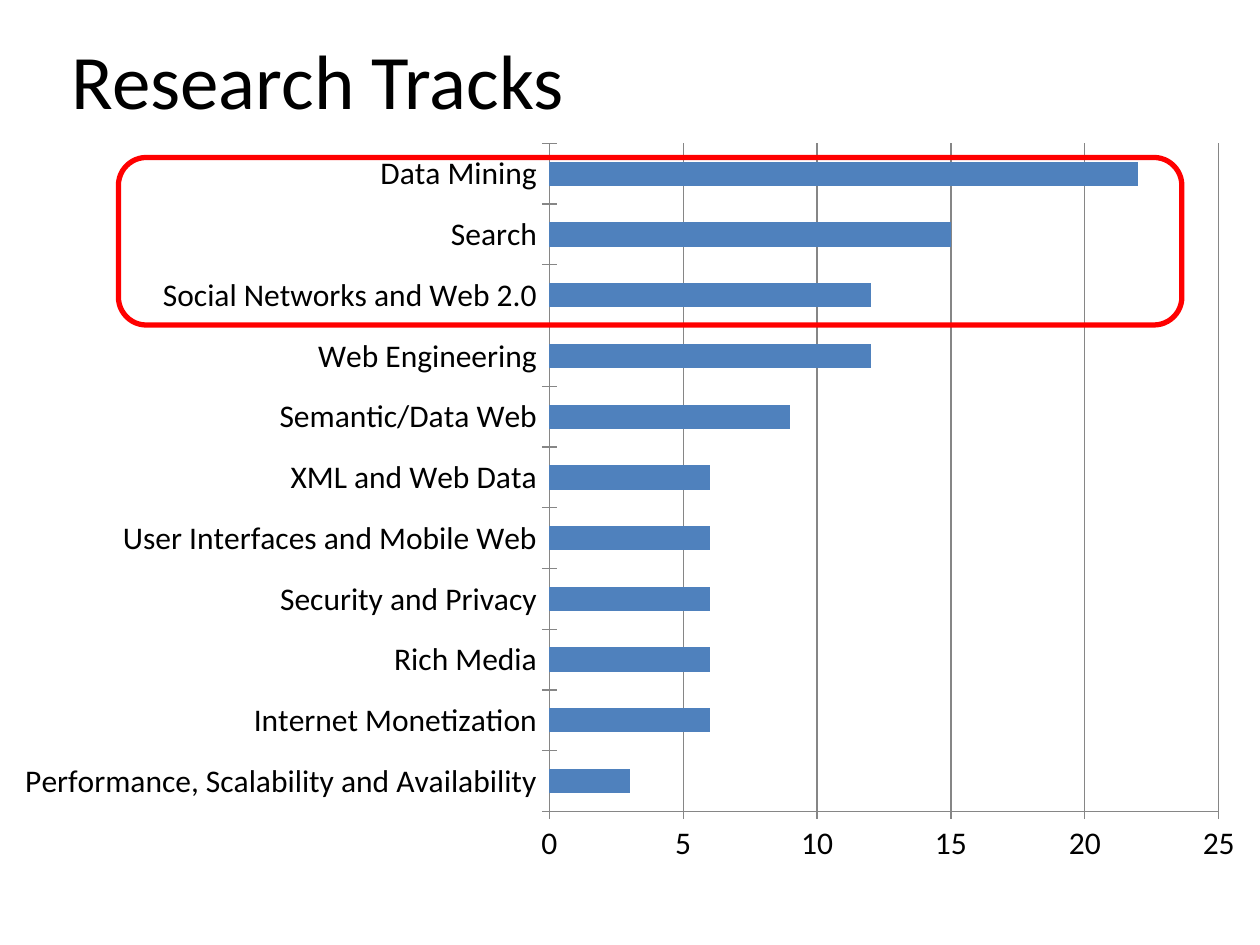
from pptx import Presentation
from pptx.chart.data import CategoryChartData
from pptx.dml.color import RGBColor
from pptx.enum.chart import XL_CHART_TYPE, XL_TICK_MARK
from pptx.enum.shapes import MSO_SHAPE
from pptx.enum.text import MSO_ANCHOR, PP_ALIGN
from pptx.util import Inches, Pt

BAR_CLUSTERED = XL_CHART_TYPE.BAR_CLUSTERED
CROSS = XL_TICK_MARK.CROSS
ROUNDED = MSO_SHAPE.ROUNDED_RECTANGLE
MIDDLE, LEFT = MSO_ANCHOR.MIDDLE, PP_ALIGN.LEFT

BLACK = RGBColor(0x00, 0x00, 0x00)
BLUE = RGBColor(0x4F, 0x81, 0xBD)
RED = RGBColor(0xFF, 0x00, 0x00)
GRAY = RGBColor(0x86, 0x86, 0x86)
FONT = "Calibri"

# Listed from the bottom bar to the top bar
TRACKS = {
    "Performance, Scalability and Availability": 3,
    "Internet Monetization": 6,
    "Rich Media": 6,
    "Security and Privacy": 6,
    "User Interfaces and Mobile Web": 6,
    "XML and Web Data": 6,
    "Semantic/Data Web": 9,
    "Web Engineering": 12,
    "Social Networks and Web 2.0": 12,
    "Search": 15,
    "Data Mining": 22,
}


def set_values(target, values):
    for name, value in values.items():
        setattr(target, name, value)


def set_font(font, size):
    set_values(font, {"name": FONT, "size": Pt(size), "bold": False})
    font.color.rgb = BLACK


def set_line(line, color, width):
    line.color.rgb = color
    line.width = Pt(width)


def place_title(page, text, left, top, width, height):
    title = page.shapes.title
    set_values(title, {"left": Inches(left), "top": Inches(top),
                       "width": Inches(width), "height": Inches(height)})
    title.text_frame.vertical_anchor = MIDDLE
    para = title.text_frame.paragraphs[0]
    para.alignment = LEFT
    span = para.add_run()
    span.text = text
    set_font(span.font, 44)


def add_bar_chart(page, tracks, *bounds):
    data = CategoryChartData()
    data.categories = list(tracks)
    data.add_series("Series 1", list(tracks.values()))
    chart = page.shapes.add_chart(
        BAR_CLUSTERED, *map(Inches, bounds), data).chart
    set_values(chart, {"has_legend": False, "has_title": False})
    set_font(chart.font, 18)

    # Bars
    plot = chart.plots[0]
    set_values(plot, {"gap_width": 150, "vary_by_categories": False})
    fill = plot.series[0].format.fill
    fill.solid()
    fill.fore_color.rgb = BLUE

    # Axes and gridlines
    for axis in (chart.category_axis, chart.value_axis):
        set_values(axis, {"major_tick_mark": CROSS})
        set_line(axis.format.line, GRAY, 0.75)
    chart.category_axis.has_major_gridlines = False
    set_values(chart.value_axis, {"minimum_scale": 0, "maximum_scale": 25,
                                  "major_unit": 5,
                                  "has_major_gridlines": True})
    set_line(chart.value_axis.major_gridlines.format.line, GRAY, 0.75)


def add_highlight(page, *bounds):
    frame = page.shapes.add_shape(ROUNDED, *map(Inches, bounds))
    frame.shadow.inherit = False
    frame.fill.background()
    set_line(frame.line, RED, 3)


def main():
    deck = Presentation()
    set_values(deck, {"slide_width": Inches(10), "slide_height": Inches(7.5)})
    page = deck.slides.add_slide(deck.slide_layouts[5])
    place_title(page, "Research Tracks", 0.47, 0, 9, 1.25)
    add_bar_chart(page, TRACKS, 0, 1.02, 10, 5.94)
    # Outline around the three largest tracks
    add_highlight(page, 0.94, 1.25, 8.44, 1.33)
    deck.save("out.pptx")


if __name__ == "__main__":
    main()
